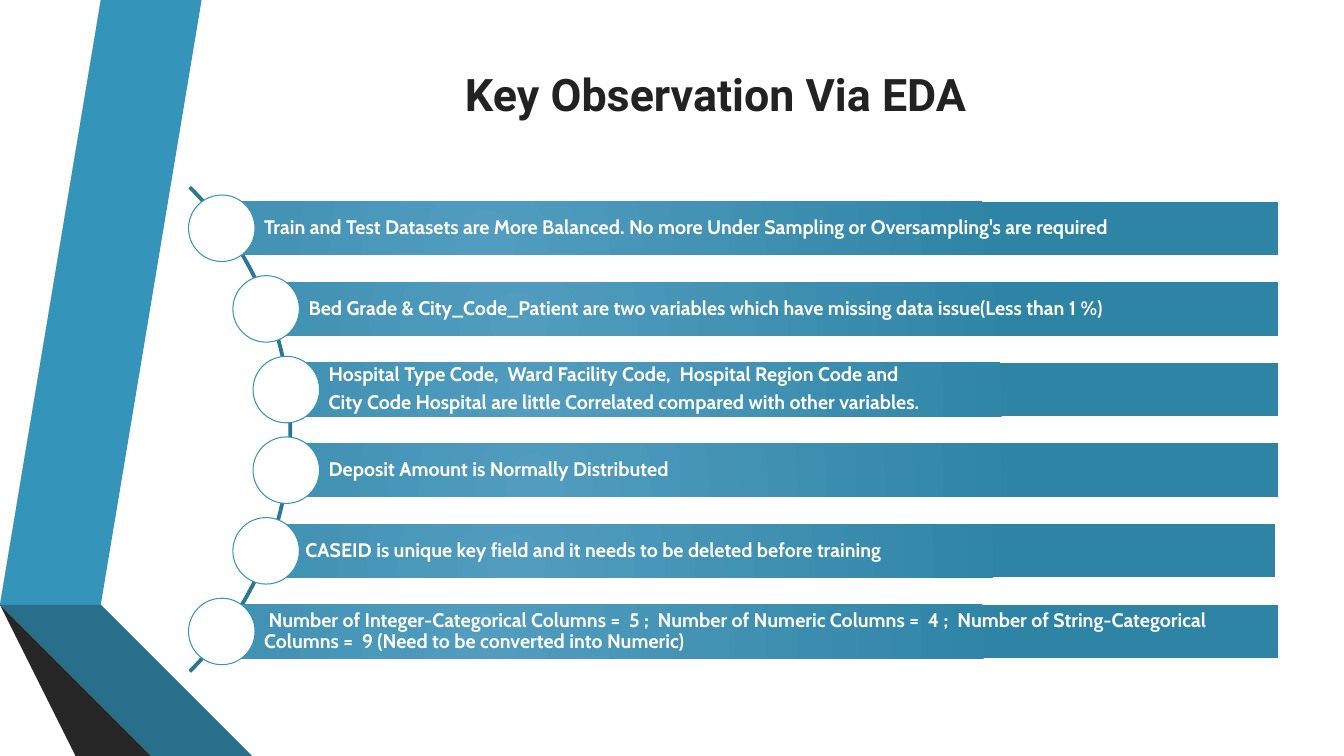
from dataclasses import dataclass

from lxml import etree
from pptx import Presentation
from pptx.dml.color import RGBColor
from pptx.enum.shapes import MSO_SHAPE
from pptx.enum.text import MSO_ANCHOR, PP_ALIGN
from pptx.oxml.ns import qn
from pptx.shapes.autoshape import Shape
from pptx.slide import Slide
from pptx.util import Inches, Pt

RECTANGLE, OVAL, BLOCK_ARC = MSO_SHAPE.RECTANGLE, MSO_SHAPE.OVAL, MSO_SHAPE.BLOCK_ARC
MIDDLE = MSO_ANCHOR.MIDDLE
LEFT, CENTER = PP_ALIGN.LEFT, PP_ALIGN.CENTER


@dataclass(frozen=True)
class Theme:
    title_font: str = "Roboto"
    body_font: str = "Cabin"
    title_size: int = 32
    body_size: int = 14
    title: str = "222222"
    white: str = "FFFFFF"
    accent: str = "3494BA"
    arc: str = "2A7795"
    bar_light: str = "519CBF"
    bar_dark: str = "2E84A5"


@dataclass(frozen=True)
class Ribbon:
    color: str
    points: tuple[tuple[float, float], ...]


@dataclass(frozen=True)
class Observation:
    text: str
    center: float
    bar_shift: float = 0


THEME = Theme()

RIBBONS = (
    Ribbon("3494BA", ((0.5, 5.78), (0.77, 5.83), (1.73, 0), (1.45, 0))),
    Ribbon("595959", ((1.39, 0), (1.11, 0), (0.16, 5.73), (0.44, 5.77))),
    Ribbon("262626", ((0.16, 5.73), (1.45, 7.5), (1.51, 7.5))),
    Ribbon("1A4A5D", ((0.5, 5.79), (2.08, 7.5), (2.14, 7.5))),
    Ribbon("276F8B", ((0.5, 5.78), (2.14, 7.5), (2.83, 7.5), (0.77, 5.83))),
    Ribbon("404040", ((2.02, 7.5), (0.48, 5.83), (0.44, 5.77), (0.16, 5.73), (1.51, 7.5))),
)

OBSERVATIONS = (
    Observation("Train and Test Datasets are More Balanced. No more Under Sampling "
                "or Oversampling's are required", 2.2),
    Observation("Bed Grade & City_Code_Patient are two variables which have missing "
                "data issue(Less than 1 %)", 2.64),
    Observation("Hospital Type Code,  Ward Facility Code,  Hospital Region Code and\n"
                "City Code Hospital are little Correlated compared with other variables.", 2.84),
    Observation("Deposit Amount is Normally Distributed", 2.84),
    Observation("CASEID is unique key field and it needs to be deleted before training",
                2.64, bar_shift=-0.03),
    Observation(" Number of Integer-Categorical Columns =  5 ;  Number of Numeric Columns =  4 ;  "
                "Number of String-Categorical Columns =  9 (Need to be converted into Numeric)", 2.2),
)

FIRST_BAR_TOP = 2.0
BAR_PITCH = 0.8
BAR_HEIGHT = 0.53
BAR_RIGHT = 12.68
CIRCLE_SIZE = 0.66


def color(value: str) -> RGBColor:
    return RGBColor.from_string(value)


def add_ribbon(slide: Slide, ribbon: Ribbon) -> None:
    builder = slide.shapes.build_freeform(*ribbon.points[0], scale=Inches(1))
    builder.add_line_segments(ribbon.points[1:], close=True)
    shape = builder.convert_to_shape()
    shape.shadow.inherit = False
    shape.fill.solid()
    shape.fill.fore_color.rgb = color(ribbon.color)
    shape.line.fill.background()


def add_plain_shape(slide: Slide, kind: MSO_SHAPE, left: float, top: float,
                    width: float, height: float) -> Shape:
    shape = slide.shapes.add_shape(kind, Inches(left), Inches(top), Inches(width), Inches(height))
    shape.shadow.inherit = False
    return shape


def fill_radial(shape: Shape) -> None:
    """Blend the bar colours in a circular gradient."""
    shape.fill.gradient()
    for stop, position, value in zip(shape.fill.gradient_stops, (0, 1),
                                     (THEME.bar_light, THEME.bar_dark)):
        stop.position = position
        stop.color.rgb = color(value)
    gradient = shape.element.spPr.find(qn("a:gradFill"))
    gradient.remove(gradient.find(qn("a:lin")))
    circle = etree.SubElement(gradient, qn("a:path"), {"path": "circle"})
    etree.SubElement(circle, qn("a:fillToRect"),
                     {"l": "50000", "t": "100000", "r": "100000", "b": "50000"})


def add_title(slide: Slide, text: str) -> None:
    title = slide.shapes.title
    title.left, title.top = Inches(1.62), Inches(0.43)
    title.width, title.height = Inches(10.96), Inches(1)
    title.text_frame.text = text
    title.text_frame.vertical_anchor = MIDDLE
    paragraph = title.text_frame.paragraphs[0]
    paragraph.alignment = CENTER
    font = paragraph.runs[0].font
    font.name, font.size, font.bold = THEME.title_font, Pt(THEME.title_size), True
    font.color.rgb = color(THEME.title)


def add_arc(slide: Slide) -> None:
    arc = add_plain_shape(slide, BLOCK_ARC, -3.91, 0.86, 6.8, 6.8)
    for index, value in enumerate((189, 27, 0.003)):
        arc.adjustments[index] = value
    arc.fill.background()
    arc.line.color.rgb = color(THEME.arc)
    arc.line.width = Pt(1.25)


def add_observation(slide: Slide, observation: Observation, top: float) -> None:
    bar = add_plain_shape(slide, RECTANGLE, observation.center + observation.bar_shift, top,
                          BAR_RIGHT - observation.center, BAR_HEIGHT)
    fill_radial(bar)
    bar.line.fill.background()
    frame = bar.text_frame
    frame.word_wrap = True
    frame.vertical_anchor = MIDDLE
    frame.margin_left = Inches(0.42)
    frame.margin_top = frame.margin_right = frame.margin_bottom = Inches(0.04)
    frame.text = observation.text
    for paragraph in frame.paragraphs:
        paragraph.alignment = LEFT
        paragraph.line_spacing = 0.9
        paragraph.space_after = Pt(5)
        font = paragraph.runs[0].font
        font.name, font.size, font.bold = THEME.body_font, Pt(THEME.body_size), True
        font.color.rgb = color(THEME.white)

    circle = add_plain_shape(slide, OVAL, observation.center - CIRCLE_SIZE / 2,
                             top + (BAR_HEIGHT - CIRCLE_SIZE) / 2, CIRCLE_SIZE, CIRCLE_SIZE)
    circle.fill.solid()
    circle.fill.fore_color.rgb = color(THEME.white)
    circle.line.color.rgb = color(THEME.accent)
    circle.line.width = Pt(0.75)


def main() -> None:
    presentation = Presentation()
    presentation.slide_width, presentation.slide_height = Inches(13.33), Inches(7.5)
    title_only = presentation.slide_layouts[5]
    slide = presentation.slides.add_slide(title_only)
    for ribbon in RIBBONS:
        add_ribbon(slide, ribbon)
    add_title(slide, "Key Observation Via EDA")
    add_arc(slide)
    for row, observation in enumerate(OBSERVATIONS):
        add_observation(slide, observation, FIRST_BAR_TOP + row * BAR_PITCH)
    presentation.save("out.pptx")


if __name__ == "__main__":
    main()
